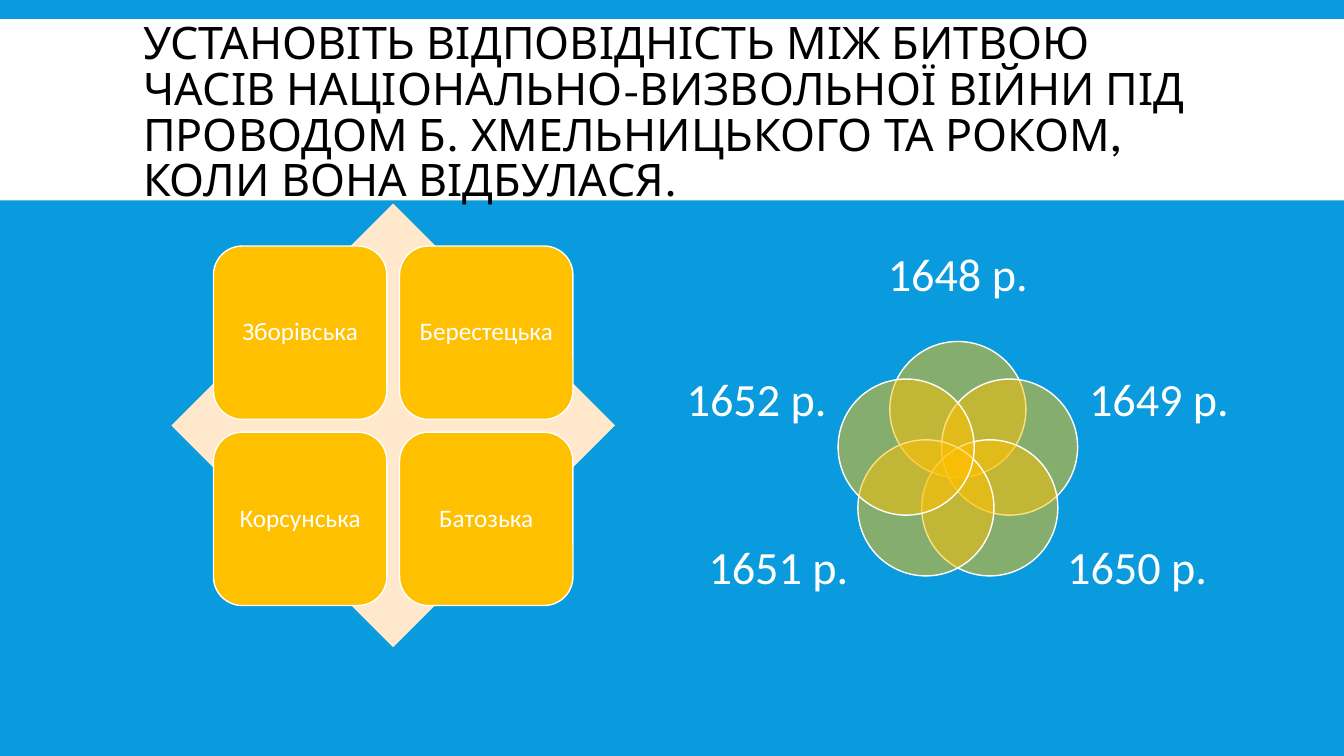
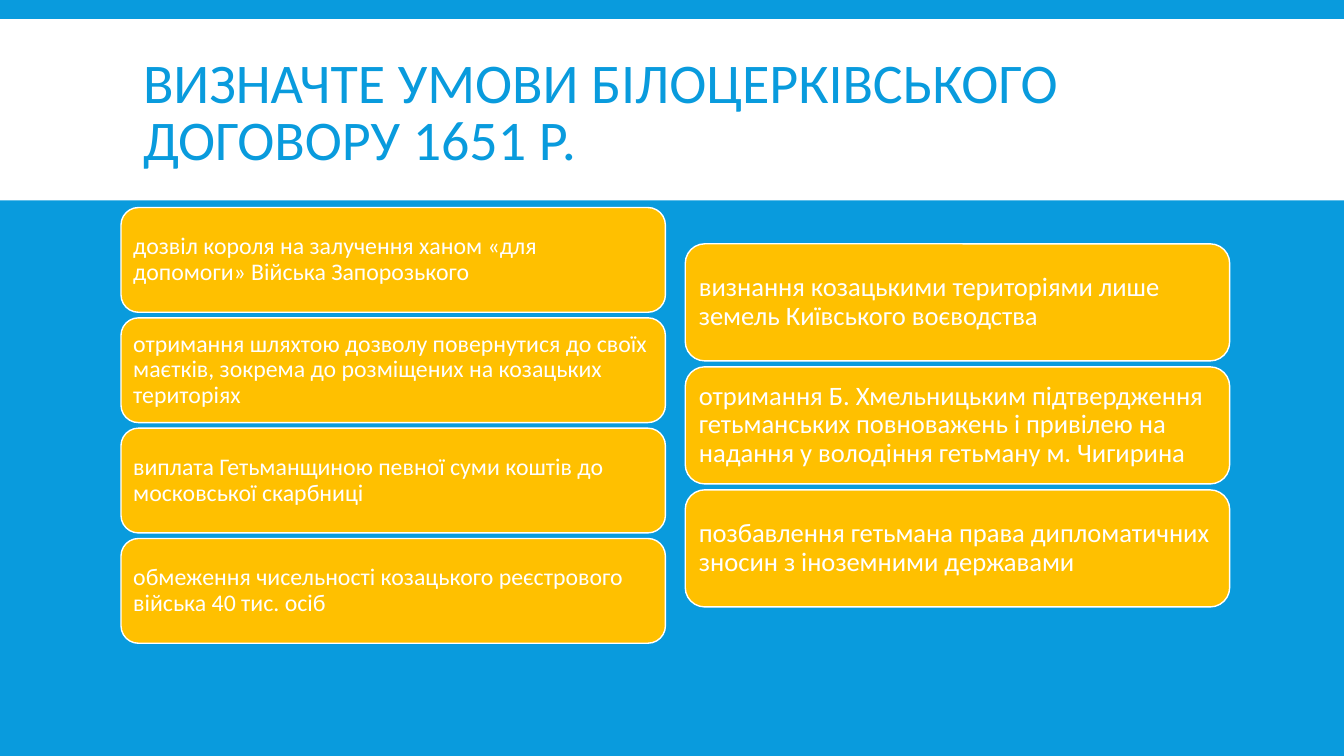
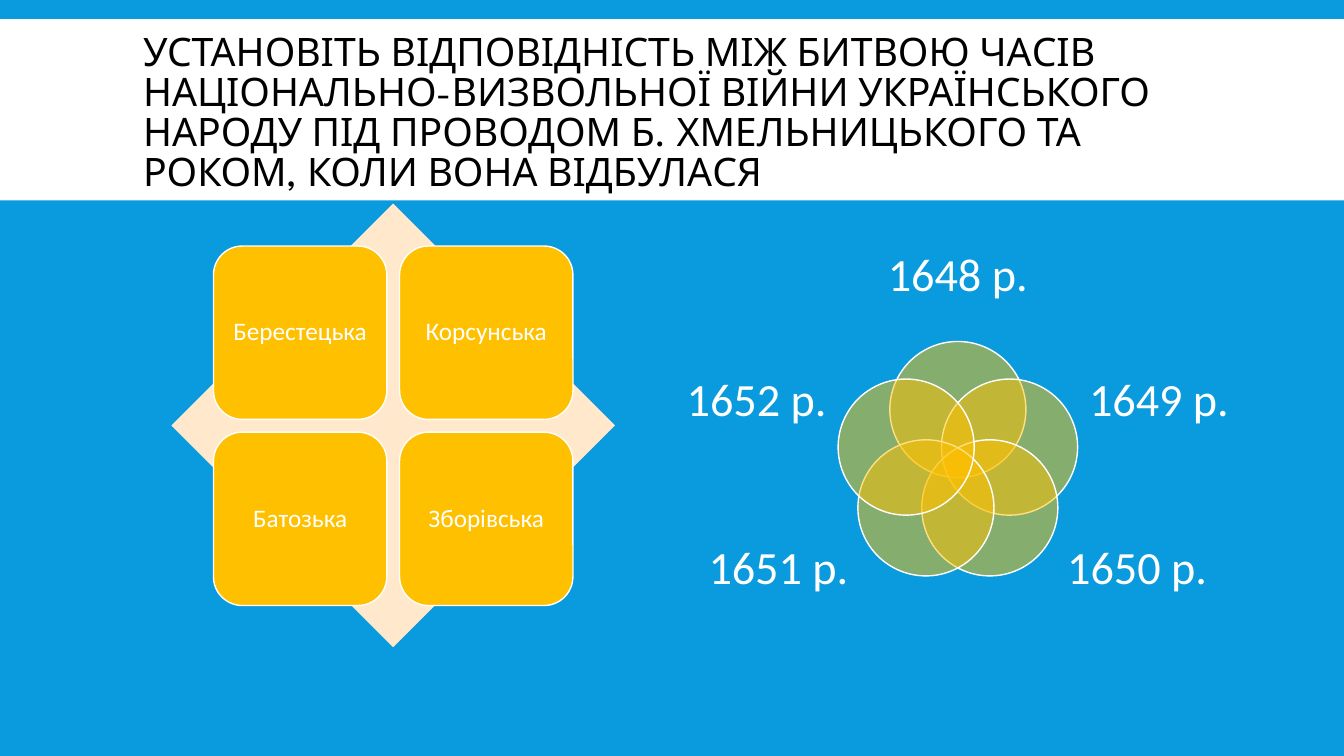
import math

import lxml.etree
import pptx
import pptx.dml.color
import pptx.enum.shapes
import pptx.enum.text
import pptx.oxml.ns
import pptx.util

Cm = pptx.util.Cm
SHAPE = pptx.enum.shapes.MSO_SHAPE
ALIGN = pptx.enum.text.PP_ALIGN

BLUE = pptx.dml.color.RGBColor(0x09, 0x9B, 0xDD)
WHITE = pptx.dml.color.RGBColor(0xFF, 0xFF, 0xFF)
BLACK = pptx.dml.color.RGBColor(0x00, 0x00, 0x00)
AMBER = pptx.dml.color.RGBColor(0xFF, 0xC0, 0x00)
CREAM = pptx.dml.color.RGBColor(0xFF, 0xE8, 0xCC)

BODY_FONT = "Calibri"
DISPLAY_FONT = "League Spartan"
SLIDE_WIDTH, SLIDE_HEIGHT = 33.87, 19.05
CONTENT_MIDDLE = 10.72


class Deck:
    """Holds the shared style and the current slide; lengths are in centimetres."""

    def __init__(self):
        self.presentation = pptx.Presentation()
        self.presentation.slide_width = Cm(SLIDE_WIDTH)
        self.presentation.slide_height = Cm(SLIDE_HEIGHT)
        background = self.presentation.slide_master.background.fill
        background.solid()
        background.fore_color.rgb = BLUE
        self.slide = None

    def add_slide(self, title, size, font=BODY_FONT, color=BLUE):
        layout = self.presentation.slide_layouts[5]
        self.slide = self.presentation.slides.add_slide(layout)
        # White band, sent behind the title
        band = self.shape(SHAPE.RECTANGLE, 0, 0.48, SLIDE_WIDTH, 4.57, WHITE)
        self.slide.shapes.element.insert(2, band.element)
        placeholder = self.slide.shapes.title
        placeholder.left, placeholder.top = Cm(3.35), Cm(0.79)
        placeholder.width, placeholder.height = Cm(27.18), Cm(4.19)
        self.set_text(placeholder, title, size, ALIGN.LEFT, font, color, 0.85)

    def shape(self, kind, left, top, width, height, fill, outlined=False, opacity=None):
        shape = self.slide.shapes.add_shape(kind, Cm(left), Cm(top), Cm(width), Cm(height))
        shape.shadow.inherit = False
        shape.fill.solid()
        shape.fill.fore_color.rgb = fill
        if opacity is not None:
            color = shape.element.spPr.find(".//" + pptx.oxml.ns.qn("a:srgbClr"))
            alpha = lxml.etree.SubElement(color, pptx.oxml.ns.qn("a:alpha"))
            alpha.set("val", str(opacity * 1000))
        if outlined:
            shape.line.color.rgb = WHITE
            shape.line.width = pptx.util.Pt(1)
        else:
            shape.line.fill.background()
        return shape

    def set_text(self, shape, text, size, align, font=BODY_FONT, color=WHITE,
                 spacing=0.9, inset=None):
        frame = shape.text_frame
        frame.word_wrap = True
        frame.auto_size = pptx.enum.text.MSO_AUTO_SIZE.NONE
        frame.vertical_anchor = pptx.enum.text.MSO_ANCHOR.MIDDLE
        if inset is not None:
            frame.margin_left = frame.margin_right = Cm(inset)
            frame.margin_top = frame.margin_bottom = Cm(inset)
        frame.text = text
        paragraph = frame.paragraphs[0]
        paragraph.alignment = align
        paragraph.line_spacing = spacing
        paragraph.font.name = font
        paragraph.font.size = pptx.util.Pt(size)
        paragraph.font.color.rgb = color

    def card(self, left, top, width, height, text, size, align=ALIGN.LEFT, inset=0.18):
        card = self.shape(SHAPE.ROUNDED_RECTANGLE, left, top, width, height, AMBER, True)
        self.set_text(card, text, size, align, inset=inset)

    def label(self, center_x, center_y, width, height, text):
        box = self.slide.shapes.add_textbox(
            Cm(center_x - width / 2), Cm(center_y - height / 2), Cm(width), Cm(height))
        self.set_text(box, text, 33, ALIGN.CENTER, inset=0)

    def battle_matrix(self, battles):
        """Four tiles, row by row, over a diamond."""
        self.shape(SHAPE.DIAMOND, 4.32, 5.13, 11.18, 11.18, CREAM)
        tile, pitch = 4.37, 4.69
        for index, battle in enumerate(battles):
            row, column = divmod(index, 2)
            self.card(5.38 + column * pitch, 6.2 + row * pitch, tile, tile,
                      battle, 18, ALIGN.CENTER)

    def year_flower(self):
        """Five overlapping circles, clockwise from the top, with a year at each."""
        center_x, center_y, ring_radius, diameter = 24.14, 11.69, 1.37, 3.43
        for index in range(5):
            angle = math.radians(72 * index)
            x = center_x + ring_radius * math.sin(angle)
            y = center_y - ring_radius * math.cos(angle)
            self.shape(SHAPE.OVAL, x - diameter / 2, y - diameter / 2,
                       diameter, diameter, AMBER, True, opacity=50)
        label_places = [(0, 6.97), (5.07, 10.11), (4.52, 14.35),
                        (-4.52, 14.35), (-5.07, 10.11)]
        for year, (offset, y) in enumerate(label_places, start=1648):
            width, height = (3.56, 2.49) if offset else (3.99, 2.31)
            self.label(center_x + offset, y, width, height, f"{year} р.")

    def card_stack(self, left, height, gap, size, inset, texts):
        """A column of cards centred vertically in the content area."""
        pitch = height + gap
        top = CONTENT_MIDDLE - (len(texts) * pitch - gap) / 2
        for index, text in enumerate(texts):
            self.card(left, top + index * pitch, 13.72, height, text, size, inset=inset)


def main():
    deck = Deck()

    # Battles and years, first task
    deck.add_slide(
        "УСТАНОВІТЬ ВІДПОВІДНІСТЬ МІЖ БИТВОЮ ЧАСІВ НАЦІОНАЛЬНО-ВИЗВОЛЬНОЇ ВІЙНИ "
        "ПІД ПРОВОДОМ Б. ХМЕЛЬНИЦЬКОГО ТА РОКОМ, КОЛИ ВОНА ВІДБУЛАСЯ.",
        32, DISPLAY_FONT, BLACK)
    deck.battle_matrix(["Зборівська", "Берестецька", "Корсунська", "Батозька"])
    deck.year_flower()

    # Terms of the treaty
    deck.add_slide("ВИЗНАЧТЕ УМОВИ БІЛОЦЕРКІВСЬКОГО ДОГОВОРУ 1651 Р.", 40)
    deck.card_stack(3.05, 2.64, 0.14, 17, 0.18, [
        "дозвіл короля на залучення ханом «для допомоги» Війська Запорозького",
        "отримання шляхтою дозволу повернутися до своїх маєтків, "
        "зокрема до розміщених на козацьких територіях",
        "виплата Гетьманщиною певної суми коштів до московської скарбниці",
        "обмеження чисельності козацького реєстрового війська 40 тис. осіб",
    ])
    deck.card_stack(17.27, 2.95, 0.15, 19, 0.2, [
        "визнання козацькими територіями лише земель Київського воєводства",
        "отримання Б. Хмельницьким підтвердження гетьманських повноважень "
        "і привілею на надання у володіння гетьману м. Чигирина",
        "позбавлення гетьмана права дипломатичних зносин з іноземними державами",
    ])

    # Battles and years, second task
    deck.add_slide(
        "УСТАНОВІТЬ ВІДПОВІДНІСТЬ МІЖ БИТВОЮ ЧАСІВ НАЦІОНАЛЬНО-ВИЗВОЛЬНОЇ ВІЙНИ "
        "УКРАЇНСЬКОГО НАРОДУ ПІД ПРОВОДОМ Б. ХМЕЛЬНИЦЬКОГО ТА РОКОМ, КОЛИ ВОНА ВІДБУЛАСЯ",
        28, DISPLAY_FONT, BLACK)
    deck.battle_matrix(["Берестецька", "Корсунська", "Батозька", "Зборівська"])
    deck.year_flower()

    deck.presentation.save("out.pptx")


if __name__ == "__main__":
    main()
